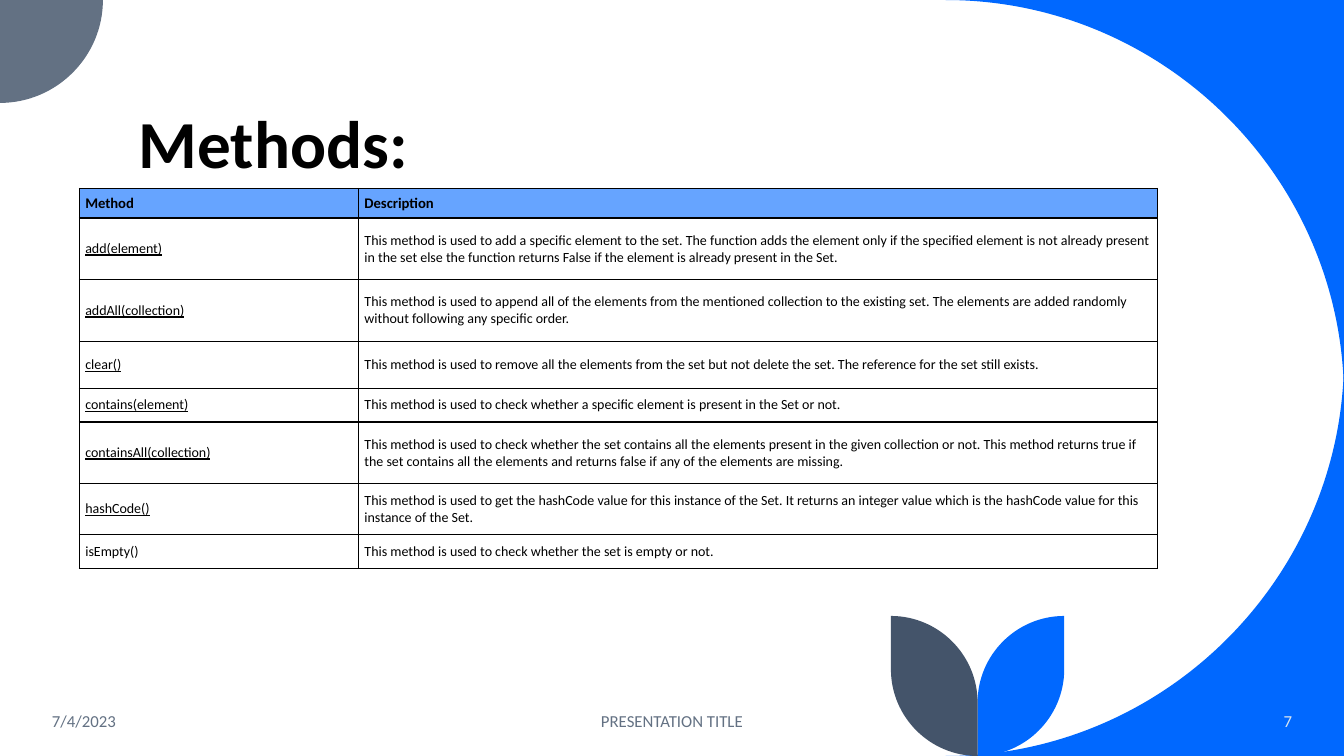
from lxml.etree import SubElement
from pptx import Presentation
from pptx.dml.color import RGBColor
from pptx.enum.text import MSO_ANCHOR, MSO_AUTO_SIZE, PP_ALIGN
from pptx.oxml.ns import qn
from pptx.util import Pt

WIDTH, HEIGHT = 960, 540
BLUE, SLATE, NAVY, PALE, BLACK = "0068FF", "637183", "44546A", "DAE5EF", "000000"
HEADER_BLUE = "66A4FF"
ROUNDNESS = 0.55

HEADINGS = ("Method", "Description")
METHODS = [
    ("add(element)", 44,
     "This method is used to add a specific element to the set. The function adds the element "
     "only if the specified element is not already present in the set else the function returns "
     "False if the element is already present in the Set."),
    ("addAll(collection)", 44.2,
     "This method is used to append all of the elements from the mentioned collection to the "
     "existing set. The elements are added randomly without following any specific order."),
    ("clear()", 33.5,
     "This method is used to remove all the elements from the set but not delete the set. "
     "The reference for the set still exists."),
    ("contains(element)", 24,
     "This method is used to check whether a specific element is present in the Set or not."),
    ("containsAll(collection)", 44,
     "This method is used to check whether the set contains all the elements present in the "
     "given collection or not. This method returns true if the set contains all the elements "
     "and returns false if any of the elements are missing."),
    ("hashCode()", 36.5,
     "This method is used to get the hashCode value for this instance of the Set. It returns "
     "an integer value which is the hashCode value for this instance of the Set."),
    ("isEmpty()", 24, "This method is used to check whether the set is empty or not."),
]


def paint(target, color):
    target.solid()
    target.fore_color.rgb = RGBColor.from_string(color)


def write(frame, text, size, color, align=PP_ALIGN.LEFT, bold=False, underline=False):
    frame.text = text
    frame.word_wrap = True
    paragraph = frame.paragraphs[0]
    paragraph.alignment = align
    font = paragraph.runs[0].font
    font.name, font.size, font.bold, font.underline = "Calibri", Pt(size), bold, underline
    font.color.rgb = RGBColor.from_string(color)


def bend(segment, shape, start, end, corner):
    segment.tag = qn("a:cubicBezTo")
    segment.clear()
    controls = [[p + ROUNDNESS * (c - p) for p, c in zip(anchor, corner)]
                for anchor in (start, end)]
    for x, y in controls + [end]:
        SubElement(segment, qn("a:pt"), x=str(Pt(x) - shape.left), y=str(Pt(y) - shape.top))


def outline(slide, points, corners, color):
    builder = slide.shapes.build_freeform(*map(Pt, points[0]))
    builder.add_line_segments([(Pt(x), Pt(y)) for x, y in points[1:]], close=True)
    shape = builder.convert_to_shape()
    segments = list(shape._element.iter(qn("a:lnTo")))
    for index, corner in corners.items():
        line = segments[index - 1]
        curve = SubElement(line.getparent(), qn("a:cubicBezTo"))
        line.getparent().replace(line, curve)
        bend(curve, shape, points[index - 1], points[index], corner)
    shape.shadow.inherit = False
    paint(shape.fill, color)
    shape.line.fill.background()


def add_corners(slide, left, top, width, height):
    right, bottom, sweep, quarter = left + width, top + height, 284.5, 73.5
    for edge, inner, color, x, radius in (
            (top, top + sweep, BLUE, right, -sweep),
            (bottom, bottom - sweep, BLUE, right, -sweep)):
        outline(slide, [(x, edge), (x + radius, edge), (x, inner)], {2: (x, edge)}, color)
    outline(slide, [(left, top), (left + quarter, top), (left, top + quarter)],
            {2: (left + quarter, top + quarter)}, SLATE)


def add_leaves(slide, left, top, width, height):
    leaf, stem, bottom = width / 2, left + width / 2, top + height
    for tip, color in ((left + width, BLUE), (left, NAVY)):
        outline(slide,
                [(tip, top), (tip, bottom - leaf), (stem, bottom), (stem, top + leaf), (tip, top)],
                {2: (tip, bottom), 4: (stem, top)}, color)


def add_title(slide, left, top, width, height):
    title = slide.shapes.title
    title.left, title.top, title.width, title.height = map(Pt, (left, top, width, height))
    write(title.text_frame, "Methods: ", 48, BLACK, bold=True)
    title.text_frame.auto_size = MSO_AUTO_SIZE.NONE
    title.text_frame.vertical_anchor = MSO_ANCHOR.BOTTOM
    title.text_frame.paragraphs[0].line_spacing = 0.9


def add_footer(slide, left, top, width, height):
    entries = [
        (0, 216, "7/4/2023", SLATE, PP_ALIGN.LEFT),
        (288, 324, "PRESENTATION TITLE", SLATE, PP_ALIGN.CENTER),
        (width - 130, 130, "7", PALE, PP_ALIGN.RIGHT),
    ]
    for offset, entry_width, text, color, align in entries:
        entry = slide.shapes.add_textbox(Pt(left + offset), Pt(top), Pt(entry_width), Pt(height))
        write(entry.text_frame, text, 12, color, align)
        entry.text_frame.vertical_anchor = MSO_ANCHOR.MIDDLE


def add_borders(cell):
    properties = cell._tc.get_or_add_tcPr()
    for side in ("lnL", "lnR", "lnT", "lnB"):
        border = SubElement(properties, qn(f"a:{side}"), w=str(Pt(1)))
        fill = SubElement(border, qn("a:solidFill"))
        SubElement(fill, qn("a:srgbClr"), val=BLACK)


def format_cell(cell, text, padding, size, bold=False, underline=False):
    write(cell.text_frame, text, size, BLACK, bold=bold, underline=underline)
    cell.vertical_anchor = MSO_ANCHOR.MIDDLE
    cell.margin_left = cell.margin_right = Pt(4.2)
    cell.margin_top = cell.margin_bottom = Pt(padding)
    add_borders(cell)
    if bold:
        paint(cell.fill, HEADER_BLUE)
    else:
        cell.fill.background()


def add_methods(slide, left, top, width, height):
    table = slide.shapes.add_table(
        len(METHODS) + 1, 2, Pt(left), Pt(top), Pt(width), Pt(height)).table
    table.first_row = table.horz_banding = False
    name_width = 199.4
    table.columns[0].width, table.columns[1].width = Pt(name_width), Pt(width - name_width)
    table.rows[0].height = Pt(21.2)
    for column, heading in enumerate(HEADINGS):
        format_cell(table.cell(0, column), heading, 4.2, 10.5, bold=True)
    for row, (method, row_height, description) in enumerate(METHODS, 1):
        table.rows[row].height = Pt(row_height)
        format_cell(table.cell(row, 0), method, 5.75, 10, underline=method != "isEmpty()")
        format_cell(table.cell(row, 1), description, 5.75, 10)


presentation = Presentation()
presentation.slide_width, presentation.slide_height = Pt(WIDTH), Pt(HEIGHT)
methods_slide = presentation.slides.add_slide(presentation.slide_layouts[5])
add_corners(methods_slide, 0, 0, WIDTH, HEIGHT)
add_leaves(methods_slide, 636.4, 440, 123.8, 100)
add_title(methods_slide, 92, 30, 770, 104.5)
add_footer(methods_slide, 30, 500.5, 900, 29)
add_methods(methods_slide, 56.75, 134.6, 770, 271.4)
presentation.save("out.pptx")
